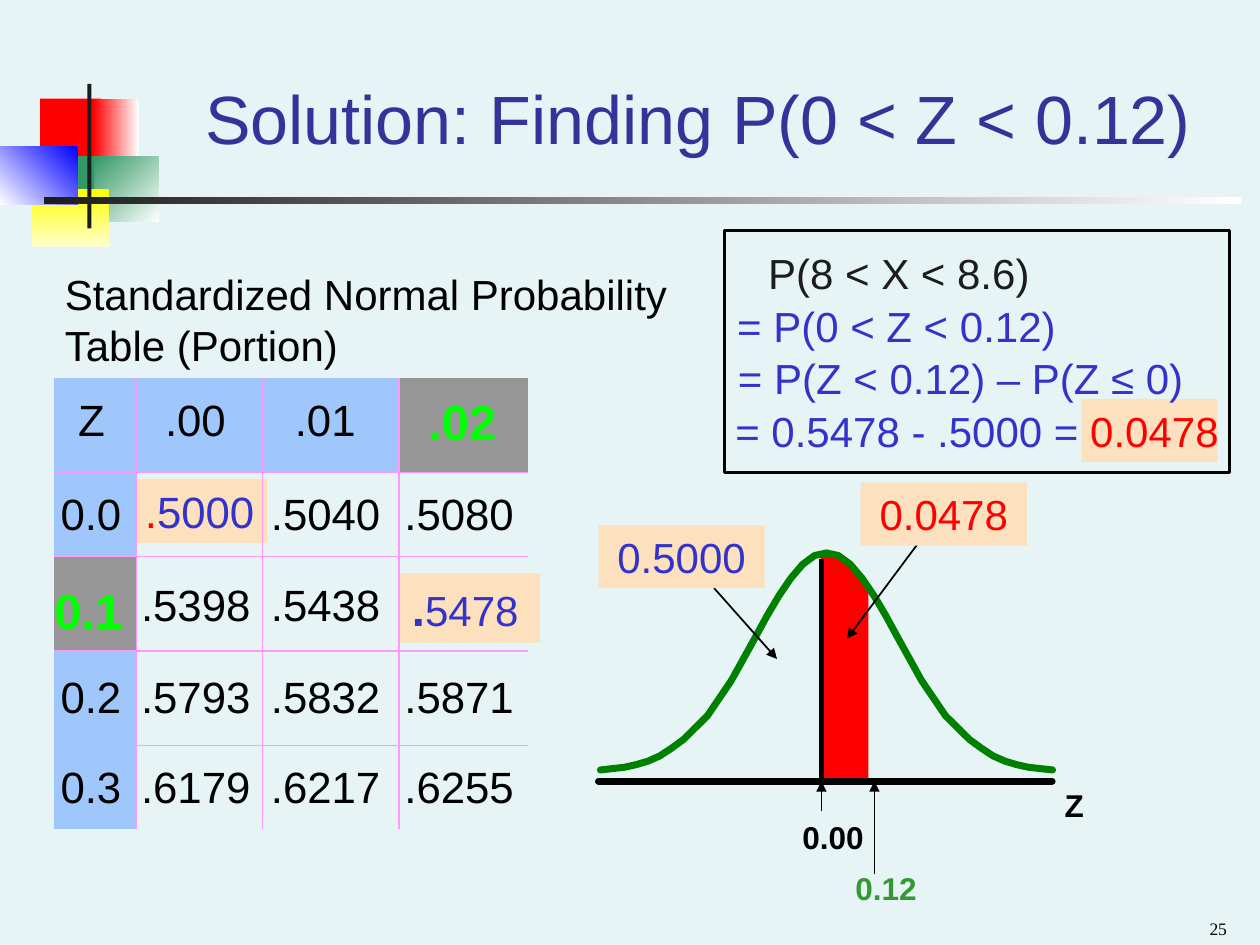
"""Build the slide on finding P(0 < Z < 0.12) with a normal table and bell curve."""
import lxml.etree
import pptx
import pptx.dml.color
import pptx.enum.shapes
import pptx.enum.text
import pptx.oxml.ns
import pptx.util

Pt = pptx.util.Pt
ALIGN = pptx.enum.text.PP_ALIGN
ANCHOR = pptx.enum.text.MSO_ANCHOR
RECTANGLE = pptx.enum.shapes.MSO_SHAPE.RECTANGLE

THEME = {
    "font": "Arial", "number_font": "Times New Roman",
    "title_size": 39, "strong_size": 28, "table_size": 25, "body_size": 24,
    "axis_size": 18, "number_size": 10,
    "background": "E7F4F5", "title": "333399", "black": "000000", "dark": "1C1C1C",
    "blue": "3333CC", "red": "FF0000", "curve": "008000", "axis_green": "339933",
    "lime": "00FF00", "peach": "FDE0BD", "header": "A0C7FC", "gray": "969696",
    "grid": "FF99FF",
}
BODY, AXIS = THEME["body_size"], THEME["axis_size"]

TITLE = "Solution: Finding P(0 < Z < 0.12)"
DECORATION = [
    ((23, 56.4, 34.6, 37.6), ("FF0000",), 0),
    ((53.3, 56.4, 26, 37.6), ("FFFFFF", "FF0000"), 180),
    ((54, 89.3, 36.7, 37.6), ("FFFFFF", "339966"), 225),
    ((31, 89.3, 23, 37.6), ("339966",), 0),
    ((18.2, 108, 44, 33), ("FFFF00", "FFFFCC"), 90),
    ((0, 83.7, 44.2, 33), ("0000FF", "FFFFFF"), 135),
    ((49.9, 48, 2.4, 82.6), ("1C1C1C",), 0),
    ((25, 112.5, 684.4, 4), ("FFFFFF", "1C1C1C"), 180),
]
HIGHLIGHTS = [(618, 228, 77.8, 36), (75.6, 273.6, 77, 36.7), (228, 327.6, 80.6, 39.6)]

TABLE_HEADING = ["Standardized Normal Probability", "Table (Portion)"]
TABLE_ROWS = [
    ["Z", ".00", ".01", ".02"],
    ["0.0", ".5000", ".5040", ".5080"],
    ["0.1", ".5398", ".5438", ".5478"],
    ["0.2", ".5793", ".5832", ".5871"],
    ["0.3", ".6179", ".6217", ".6255"],
]
TABLE_ORIGIN = (31, 216)
COLUMN_WIDTHS = [47, 72, 78, 74]
ROW_HEIGHTS = [54, 48, 54, 54, 48]
ROW_PADDING = [(0, 4.5), (0.5, 0), (3, 0), (0, 0), (0.5, 0)]
HEADER_INDENTS = [13.6, 16.3, 18.5, 16.8]
BODY_INDENTS = [3.6, 2.6, 4.8, 3.1]
KEY_CELLS = {(0, 3): (16.8, 0, 2.5), (2, 0): (0, 9.5, 0)}
ANSWER_CELLS = {(1, 1): (4.8, 0, 1.5), (2, 3): (7.4, 7, 0)}
ANSWER_DOTS = {(1, 1): ("red", 25, 25, False), (2, 3): ("blue", 27, 24, True)}

EQUATION_FRAME = (414, 131.8, 288.7, 138.2)
EQUATION_TOP, EQUATION_PITCH = 138, 30
EQUATIONS = [
    (429, 169.4, [("P(8 < X < 8.6)", "dark")]),
    (411, 202.6, [("= P(0 < Z < 0.12)", "blue")]),
    (411.7, 274.6, [("= P(Z < 0.12) – P(Z ≤ 0)", "blue")]),
    (405.2, 306.2, [("= 0.5478 - .5000 = ", "blue"), ("0.0478", "red")]),
]
CALLOUTS = [
    ("0.0478", "red", (491.8, 275.8, 95, 36), (528, 306), (484, 365)),
    ("0.5000", "blue", (342, 300.2, 95, 36), (408, 336), (444, 376.6)),
]
AXIS_LABELS = [
    ("Z", "black", (601.2, 445.7, 30.2, 28.8)),
    ("0.00", "black", (451.4, 463.7, 49.7, 28.8)),
    ("0.12", "axis_green", (481.7, 493.2, 49.7, 28.8)),
]
AXIS_Y, AXIS_START, AXIS_END = 446.4, 342, 601.2
MEAN_X, VALUE_X = 469.4, 499.7
PEAK_X, CURVE_STEP = 472.3, 6.8
CURVE_STEPS = [0, 1, 2, 3, 4, 5, 6, 8, 10, 12, 13, 14, 15, 16, 17, 19]
CURVE_HEIGHTS = [316, 317.5, 322.5, 330.5, 340.5, 352, 364.5, 389, 409, 422.5,
                 427.5, 432, 435, 437, 438.5, 440]
SHADED_AREA = [(469.4, 446.4), (469.4, 317.5), (476, 316.5), (481, 318.5), (487, 324),
               (493, 331.5), (495.8, 337), (495.8, 446.4)]


def color(name):
    return pptx.dml.color.RGBColor.from_string(THEME.get(name, name))


def format_run(run, size, color_name, bold=False, font="font"):
    run.font.name = THEME[font]
    run.font.size = Pt(size)
    run.font.bold = bold
    run.font.color.rgb = color(color_name)


def add_text(slide, parts, box, size, bold=False, align=ALIGN.LEFT, wrap=True, font="font"):
    shape = slide.shapes.add_textbox(*map(Pt, box))
    shape.text_frame.word_wrap = wrap
    if not wrap:
        shape.text_frame.auto_size = pptx.enum.text.MSO_AUTO_SIZE.SHAPE_TO_FIT_TEXT
    paragraph = shape.text_frame.paragraphs[0]
    paragraph.alignment = align
    for text, color_name in parts:
        run = paragraph.add_run()
        run.text = text
        format_run(run, size, color_name, bold, font)
    return shape


def add_rectangle(slide, box, colors=(), angle=0):
    shape = slide.shapes.add_shape(RECTANGLE, *map(Pt, box))
    shape.shadow.inherit = False
    shape.line.fill.background()
    if len(colors) == 2:
        shape.fill.gradient()
        shape.fill.gradient_angle = (360 - angle) % 360
        for stop, name in zip(shape.fill.gradient_stops, colors):
            stop.color.rgb = color(name)
    elif colors:
        shape.fill.solid()
        shape.fill.fore_color.rgb = color(colors[0])
    else:
        shape.fill.background()
    return shape


def set_line(shape, color_name, width, arrow=False):
    shape.line.color.rgb = color(color_name)
    shape.line.width = Pt(width)
    line = shape.line._get_or_add_ln()
    if width > 3:
        line.set("cap", "rnd")
    if arrow:
        lxml.etree.SubElement(line, pptx.oxml.ns.qn("a:tailEnd"), type="triangle")


def add_line(slide, start, end, width, arrow=False):
    connector = slide.shapes.add_connector(
        pptx.enum.shapes.MSO_CONNECTOR.STRAIGHT, *map(Pt, (*start, *end)))
    set_line(connector, "black", width, arrow)
    lxml.etree.SubElement(connector._element.spPr, pptx.oxml.ns.qn("a:effectLst"))


def add_outline(slide, points, close):
    corners = [(Pt(x), Pt(y)) for x, y in points]
    builder = slide.shapes.build_freeform(*corners[0], scale=1.0)
    builder.add_line_segments(corners[1:], close=close)
    shape = builder.convert_to_shape()
    shape.shadow.inherit = False
    shape.fill.background()
    return shape


def set_borders(cell, row, column):
    visible = {"lnL": column > 0, "lnR": column < len(COLUMN_WIDTHS) - 1,
               "lnT": row > 0, "lnB": row < len(ROW_HEIGHTS) - 1}
    properties = cell._tc.get_or_add_tcPr()
    for side, shown in visible.items():
        line = lxml.etree.SubElement(properties, pptx.oxml.ns.qn("a:" + side), w=str(Pt(0.75)))
        fill = lxml.etree.SubElement(line, pptx.oxml.ns.qn("a:solidFill" if shown else "a:noFill"))
        if shown:
            lxml.etree.SubElement(fill, pptx.oxml.ns.qn("a:srgbClr"), val=THEME["grid"])


def fill_cell(cell, row, column, text):
    key = (row, column)
    indent = HEADER_INDENTS[column] if row == 0 else BODY_INDENTS[column]
    margins = {**KEY_CELLS, **ANSWER_CELLS}.get(key, (indent, *ROW_PADDING[row]))
    cell.margin_left, cell.margin_top, cell.margin_bottom = map(Pt, margins)
    cell.margin_right = 0
    cell.vertical_anchor = ANCHOR.MIDDLE
    set_borders(cell, row, column)
    if row == 0 or column == 0:
        cell.fill.solid()
        cell.fill.fore_color.rgb = color("gray" if key in KEY_CELLS else "header")
    else:
        cell.fill.background()
    paragraph = cell.text_frame.paragraphs[0]
    if key in ANSWER_CELLS:
        dot_color, dot_size, size, bold = ANSWER_DOTS[key]
        dot, digits = paragraph.add_run(), paragraph.add_run()
        dot.text, digits.text = text[0], text[1:]
        format_run(dot, dot_size, dot_color, bold)
        format_run(digits, size, "blue")
    else:
        paragraph.text = text
        strong = key in KEY_CELLS
        format_run(paragraph.runs[0], THEME["strong_size" if strong else "table_size"],
                   "lime" if strong else "black", strong)


def add_probability_table(slide):
    size = (sum(COLUMN_WIDTHS), sum(ROW_HEIGHTS))
    table = slide.shapes.add_table(
        len(ROW_HEIGHTS), len(COLUMN_WIDTHS), *map(Pt, TABLE_ORIGIN + size)).table
    table.first_row = table.horz_banding = False
    for column, width in zip(table.columns, COLUMN_WIDTHS):
        column.width = Pt(width)
    for row, height in zip(table.rows, ROW_HEIGHTS):
        row.height = Pt(height)
    for row, texts in enumerate(TABLE_ROWS):
        for column, text in enumerate(texts):
            fill_cell(table.cell(row, column), row, column, text)


def add_title(slide):
    title = slide.shapes.title
    title.left, title.top, title.width, title.height = map(Pt, (90.2, 24.2, 617.8, 90))
    title.text_frame.text = TITLE
    title.text_frame.vertical_anchor = ANCHOR.MIDDLE
    paragraph = title.text_frame.paragraphs[0]
    paragraph.alignment = ALIGN.CENTER
    paragraph.line_spacing = 0.95
    format_run(paragraph.runs[0], THEME["title_size"], "title")


def add_bell_curve(slide):
    area = add_outline(slide, SHADED_AREA, True)
    area.fill.solid()
    area.fill.fore_color.rgb = color("red")
    set_line(area, "red", 1)
    add_line(slide, (MEAN_X, 319.7), (MEAN_X, AXIS_Y), 2.5)
    for side in (1, -1):
        points = [(PEAK_X + side * CURVE_STEP * step, y)
                  for step, y in zip(CURVE_STEPS, CURVE_HEIGHTS)]
        set_line(add_outline(slide, points, False), "curve", 4)
    add_line(slide, (AXIS_START, AXIS_Y), (AXIS_END, AXIS_Y), 4)
    for x, bottom in ((MEAN_X, 463.7), (VALUE_X, 499.7)):
        add_line(slide, (x, bottom), (x, AXIS_Y), 1, True)
    for text, color_name, box, start, end in CALLOUTS:
        add_line(slide, start, end, 1, True)
        label = add_text(slide, [(text, color_name)], box, BODY, align=ALIGN.CENTER)
        label.fill.solid()
        label.fill.fore_color.rgb = color("peach")
    for text, color_name, box in AXIS_LABELS:
        add_text(slide, [(text, color_name)], box, AXIS, bold=True, wrap=False)


def main():
    presentation = pptx.Presentation()
    presentation.slide_width, presentation.slide_height = Pt(720), Pt(540)
    slide = presentation.slides.add_slide(presentation.slide_layouts[5])
    slide.background.fill.solid()
    slide.background.fill.fore_color.rgb = color("background")
    for box, colors, angle in DECORATION:
        add_rectangle(slide, box, colors, angle)
    add_title(slide)
    for box in HIGHLIGHTS:
        add_rectangle(slide, box, ("peach",))
    add_bell_curve(slide)
    set_line(add_rectangle(slide, EQUATION_FRAME), "black", 1.5)
    for index, (left, width, parts) in enumerate(EQUATIONS):
        box = (left, EQUATION_TOP + index * EQUATION_PITCH, width, 36)
        add_text(slide, parts, box, BODY, align=ALIGN.CENTER, wrap=False)
    add_probability_table(slide)
    heading = add_text(slide, [(TABLE_HEADING[0], "black")], (30, 150, 360, 62.6), BODY)
    second = heading.text_frame.add_paragraph()
    second.text = TABLE_HEADING[1]
    second.line_spacing, second.space_before = 0.4, Pt(15)
    format_run(second.runs[0], BODY, "black")
    number = add_text(slide, [("25", "black")], (540.4, 514.8, 167.8, 25.2),
                      THEME["number_size"], align=ALIGN.RIGHT, font="number_font")
    number.text_frame.vertical_anchor = ANCHOR.BOTTOM
    presentation.save("out.pptx")


if __name__ == "__main__":
    main()
